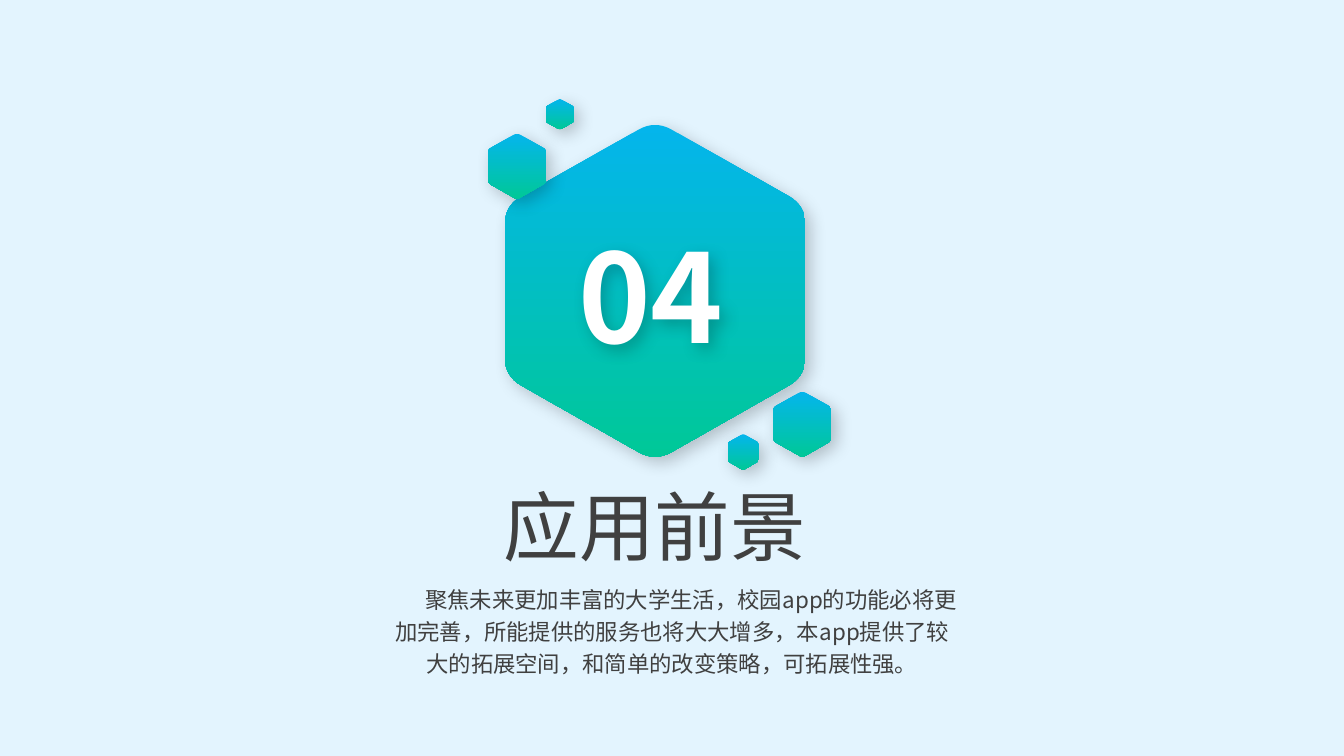
"""Section slide 04: a cluster of rounded hexagons above a title and a summary."""
from lxml import etree
from pptx import Presentation
from pptx.dml.color import RGBColor
from pptx.enum.text import MSO_ANCHOR, MSO_AUTO_SIZE, PP_ALIGN
from pptx.oxml import parse_xml
from pptx.oxml.ns import nsdecls, qn
from pptx.util import Cm, Pt

CENTER = PP_ALIGN.CENTER
TOP, MIDDLE = MSO_ANCHOR.TOP, MSO_ANCHOR.MIDDLE
NO_FIT = MSO_AUTO_SIZE.NONE
FONT = "Noto Sans CJK SC"
BACKGROUND, BLUE, GREEN, WHITE, GREY = "E3F4FE", "04B5EC", "00C898", "FFFFFF", "404040"
CORNER = 0.11
STEPS = 8
SHADOW = (
    f'<a:outerShdw {nsdecls("a")} blurRad="{Pt(12)}" dist="{Pt(5)}" dir="2700000" '
    'algn="tl" rotWithShape="0"><a:srgbClr val="000000"><a:alpha val="21000"/>'
    "</a:srgbClr></a:outerShdw>"
)


def add_shadow(sp):
    sp.shadow.inherit = False
    sp._element.spPr.find(qn("a:effectLst")).append(parse_xml(SHADOW))


def set_text(sp, box, text, size, color, anchor):
    sp.left, sp.top, sp.width, sp.height = (Cm(v) for v in box)
    tf = sp.text_frame
    tf.text = text
    tf.word_wrap = True
    tf.auto_size = NO_FIT
    tf.vertical_anchor = anchor
    p = tf.paragraphs[0]
    p.alignment = CENTER
    p.space_before = Pt(0)
    r = p.runs[0]
    r.font.size = Pt(size)
    r.font.name = FONT
    r.font.color.rgb = RGBColor.from_string(color)
    etree.SubElement(r.font._element, qn("a:ea"), typeface=FONT)
    return p


prs = Presentation()
prs.slide_width, prs.slide_height = Cm(33.87), Cm(19.05)
s = prs.slides.add_slide(prs.slide_layouts[0])
s.background.fill.solid()
s.background.fill.fore_color.rgb = RGBColor.from_string(BACKGROUND)

hexagons = [
    (16.51, 7.33, 7.57, 8.36),
    (13.03, 4.19, 1.47, 1.63),
    (20.22, 10.69, 1.47, 1.63),
    (18.73, 11.39, 0.79, 0.89),
    (14.11, 2.88, 0.69, 0.76),
]
for cx, cy, width, height in hexagons:
    rx, ry = width / 2, height / 2 / (1 - CORNER / 4)
    corners = [
        (cx + dx * rx, cy + dy * ry)
        for dx, dy in [(0, -1), (1, -0.5), (1, 0.5), (0, 1), (-1, 0.5), (-1, -0.5)]
    ]
    points = []
    for i, corner in enumerate(corners):
        before, after = corners[i - 1], corners[(i + 1) % 6]
        for step in range(STEPS + 1):
            t = step / STEPS
            a, b = CORNER * (1 - t) ** 2, CORNER * t ** 2
            points.append(tuple(
                Cm(c + a * (p - c) + b * (n - c))
                for p, c, n in zip(before, corner, after)
            ))
    outline = s.shapes.build_freeform(*points[0])
    outline.add_line_segments(points[1:], close=True)
    sp = outline.convert_to_shape()
    sp.fill.gradient()
    sp.fill.gradient_angle = 270
    for stop, position, color in zip(sp.fill.gradient_stops, (0, 1), (BLUE, GREEN)):
        stop.position = position
        stop.color.rgb = RGBColor.from_string(color)
    sp.line.fill.background()
    add_shadow(sp)

number = s.shapes.add_textbox(0, 0, 0, 0)
p = set_text(number, (13.34, 6.83, 6.12, 1.19), "04", 88, WHITE, MIDDLE)
p.runs[0].font.bold = True
add_shadow(number)

set_text(s.shapes.title, (12.4, 11.96, 8.2, 2.57), "应用前景", 54, GREY, TOP)
s.shapes.title.text_frame.word_wrap = False

summary = "聚焦未来更加丰富的大学生活，校园app的功能必将更加完善，所能提供的服务也将大大增多，本app提供了较大的拓展空间，和简单的改变策略，可拓展性强。"
p = set_text(s.placeholders[1], (9.5, 14.5, 14.88, 2.64), summary, 16, GREY, TOP)
p.line_spacing = 1.2
p._p.get_or_add_pPr().set("indent", str(Cm(0.95)))

prs.save("out.pptx")
